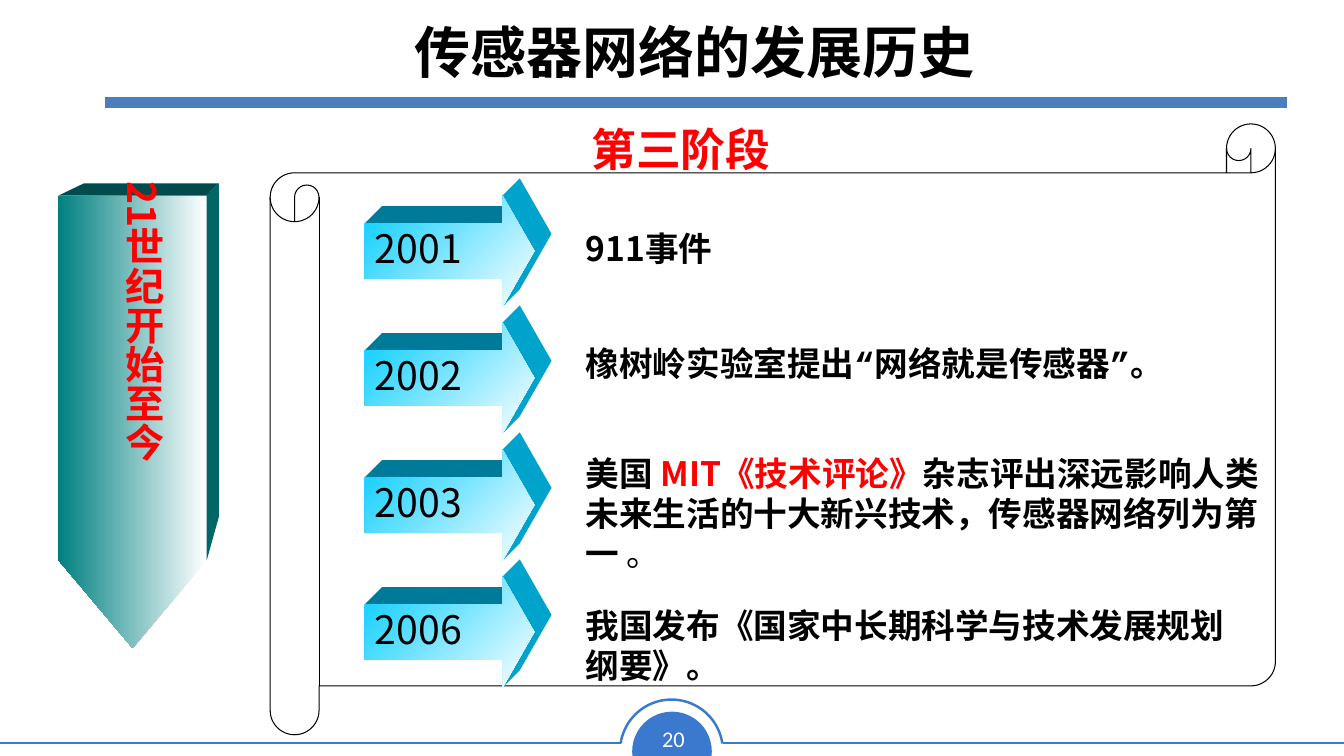
from dataclasses import dataclass

from lxml.etree import SubElement
from pptx import Presentation
from pptx.dml.color import RGBColor
from pptx.enum.shapes import MSO_CONNECTOR, MSO_SHAPE
from pptx.enum.text import MSO_ANCHOR, PP_ALIGN
from pptx.oxml.ns import qn
from pptx.util import Inches, Pt


@dataclass(frozen=True)
class Theme:
    cjk: str = "Noto Sans CJK SC"
    latin: str = "Calibri"
    quote: str = "Courier New"
    black: str = "000000"
    white: str = "FFFFFF"
    red: str = "FF0000"
    footer: str = "3B79CE"
    rule: str = "4B7EBC"
    teal: str = "008080"
    teal_top: str = "004C4C"
    teal_side: str = "006666"
    cyan: str = "00CCFF"
    cyan_top: str = "007A99"
    cyan_side: str = "00A3CC"
    title: int = 40
    stage: int = 32
    label: int = 28
    body: int = 24
    number: int = 16


class Board:
    def __init__(self, slide, theme):
        self.slide = slide
        self.theme = theme

    def paint(self, shape, fill=None, line=None, width=0.75):
        shape.shadow.inherit = False
        if fill:
            shape.fill.solid()
            shape.fill.fore_color.rgb = RGBColor.from_string(fill)
        else:
            shape.fill.background()
        if line:
            shape.line.color.rgb = RGBColor.from_string(line)
            shape.line.width = Pt(width)
        else:
            shape.line.fill.background()

    def shape(self, kind, box, adjustments, rotation=0, **style):
        shape = self.slide.shapes.add_shape(kind, *map(Inches, box))
        for index, value in enumerate(adjustments):
            shape.adjustments[index] = value
        shape.rotation = rotation
        self.paint(shape, **style)
        return shape

    def gradient(self, shape, colors, angle):
        shape.fill.gradient()
        shape.fill.gradient_angle = angle
        for stop, color in zip(shape.fill.gradient_stops, colors):
            stop.color.rgb = RGBColor.from_string(color)

    def face(self, points, fill):
        corners = [(Inches(x), Inches(y)) for x, y in points]
        builder = self.slide.shapes.build_freeform(*corners[0])
        builder.add_line_segments(corners[1:], close=True)
        self.paint(builder.convert_to_shape(), fill)

    def line(self, start, end, y, color, width):
        line = self.slide.shapes.add_connector(
            MSO_CONNECTOR.STRAIGHT, Inches(start), Inches(y), Inches(end), Inches(y))
        line.line.color.rgb = RGBColor.from_string(color)
        line.line.width = Pt(width)
        SubElement(line._element.spPr, qn("a:effectLst"))

    def text(self, box, runs, size, color=None, bold=False, font=None,
             align=PP_ALIGN.LEFT, spacing=None, anchor=MSO_ANCHOR.TOP,
             vertical=False, wrap=True):
        frame = self.slide.shapes.add_textbox(*map(Inches, box)).text_frame
        frame.word_wrap = wrap
        frame.vertical_anchor = anchor
        if vertical:
            frame._txBody.bodyPr.set("vert", "eaVert")
        paragraph = frame.paragraphs[0]
        paragraph.alignment = align
        if spacing:
            paragraph.line_spacing = spacing
        paragraph.font.size = Pt(size)
        paragraph.font.bold = bold
        paragraph.font.color.rgb = RGBColor.from_string(color or self.theme.black)
        paragraph.font.name = font or self.theme.cjk
        defaults = paragraph._p.pPr.find(qn("a:defRPr"))
        SubElement(defaults, qn("a:ea"), typeface=self.theme.cjk)
        for words, change in runs:
            run = paragraph.add_run()
            run.text = words
            if "color" in change:
                run.font.color.rgb = RGBColor.from_string(change["color"])
            if "bold" in change:
                run.font.bold = change["bold"]
            if "font" in change:
                run.font.name = change["font"]
                SubElement(run._r.get_or_add_rPr(), qn("a:ea"), typeface=change["font"])

    def footer(self, number):
        blue = self.theme.footer
        self.shape(MSO_SHAPE.CHORD, (6.27, 7.06, 0.79, 0.79), (35.77, 153.29), 112.4, fill=blue)
        for start, end in ((7.17, 13.33), (0, 6.16)):
            self.line(start, end, 7.37, blue, 1.77)
        self.shape(MSO_SHAPE.ARC, (6.15, 6.94, 1.02, 1.02), (113.17, 210.98), line=blue, width=1.77)
        self.text((6.45, 7.14, 0.46, 0.37), [(number, {})], self.theme.number,
                  self.theme.white, font=self.theme.latin, align=PP_ALIGN.CENTER, wrap=False)

    def era(self, words):
        theme = self.theme
        self.face([(0.58, 1.94), (0.83, 1.82), (2.17, 1.82), (2.05, 1.94)], theme.teal_top)
        self.face([(2.05, 1.94), (2.17, 1.82), (2.17, 5.13), (2.05, 5.56)], theme.teal_side)
        banner = self.shape(MSO_SHAPE.PENTAGON, (-0.93, 3.45, 4.49, 1.47), (0.595,), 90)
        self.gradient(banner, (theme.white, theme.teal), 270)
        self.text((1.03, 1.7, 0.91, 3.94), [(words, {})], theme.label, theme.red, True,
                  align=PP_ALIGN.CENTER, spacing=1.5, vertical=True)

    def year(self, words, top):
        theme = self.theme
        left, width, height, depth = 3.62, 1.68, 1.1, 0.17
        neck, tip = left + width - 0.286 * height, left + width
        shoulder, middle, bottom = top + height / 4, top + height / 2, top + height
        self.face([(left, shoulder), (left + depth, shoulder - depth),
                   (neck, shoulder - depth), (neck, shoulder)], theme.cyan_top)
        self.face([(neck, top), (neck + depth, top - depth), (tip + depth, middle - depth),
                   (neck + depth, bottom - depth), (neck, bottom), (tip, middle)], theme.cyan_side)
        arrow = self.shape(MSO_SHAPE.RIGHT_ARROW, (left, top, width, height), (0.5, 0.286))
        self.gradient(arrow, (theme.cyan, theme.white), 315)
        self.text((left, top + 0.24, 1.57, 0.57), [(words, {})], theme.label)


def main():
    theme = Theme()
    deck = Presentation()
    deck.slide_width, deck.slide_height = Inches(13.33), Inches(7.5)
    board = Board(deck.slides.add_slide(deck.slide_layouts[6]), theme)

    board.footer("20")
    board.line(1.04, 12.76, 1.02, theme.rule, 8)
    board.text((1.04, 0.05, 11.69, 0.92), [("传感器网络的发展历史", {})], theme.title,
               bold=True, align=PP_ALIGN.CENTER, anchor=MSO_ANCHOR.MIDDLE)
    board.shape(MSO_SHAPE.HORIZONTAL_SCROLL, (2.68, 1.23, 9.97, 6.06), (0.08,), line=theme.black)
    board.era("21世纪开始至今")

    quote = {"font": theme.quote}
    events = [
        ("2001", (5.71, 2.21, 4.83, 0.5), [("911事件", {})]),
        ("2002", (5.71, 3.35, 6.72, 0.5), [
            ("橡树岭实验室提出", {}), ("“", quote), ("网络就是传感器", {}),
            ("”", quote), ("。", {})]),
        ("2003", (5.71, 4.44, 6.94, 1.31), [
            ("美国 ", {}), ("MIT《技术评论》", {"color": theme.red}),
            ("杂志评出深远影响人类未来生活的十大新兴技术，传感器网络列为第一 ", {}),
            ("。", {"bold": False})]),
        ("2006", (5.71, 5.95, 6.72, 0.91), [
            ("我国发布《国家中长期科学与技术发展规划纲要》。", {})]),
    ]
    for row, (year, box, runs) in enumerate(events):
        board.year(year, 1.94 + 1.26 * row)
        board.text(box, runs, theme.body, bold=True)

    board.text((1.35, 1.02, 10.81, 0.79), [("第三阶段", {})], theme.stage, theme.red, True,
               font=theme.latin, align=PP_ALIGN.CENTER, spacing=1.25)
    deck.save("out.pptx")


if __name__ == "__main__":
    main()
